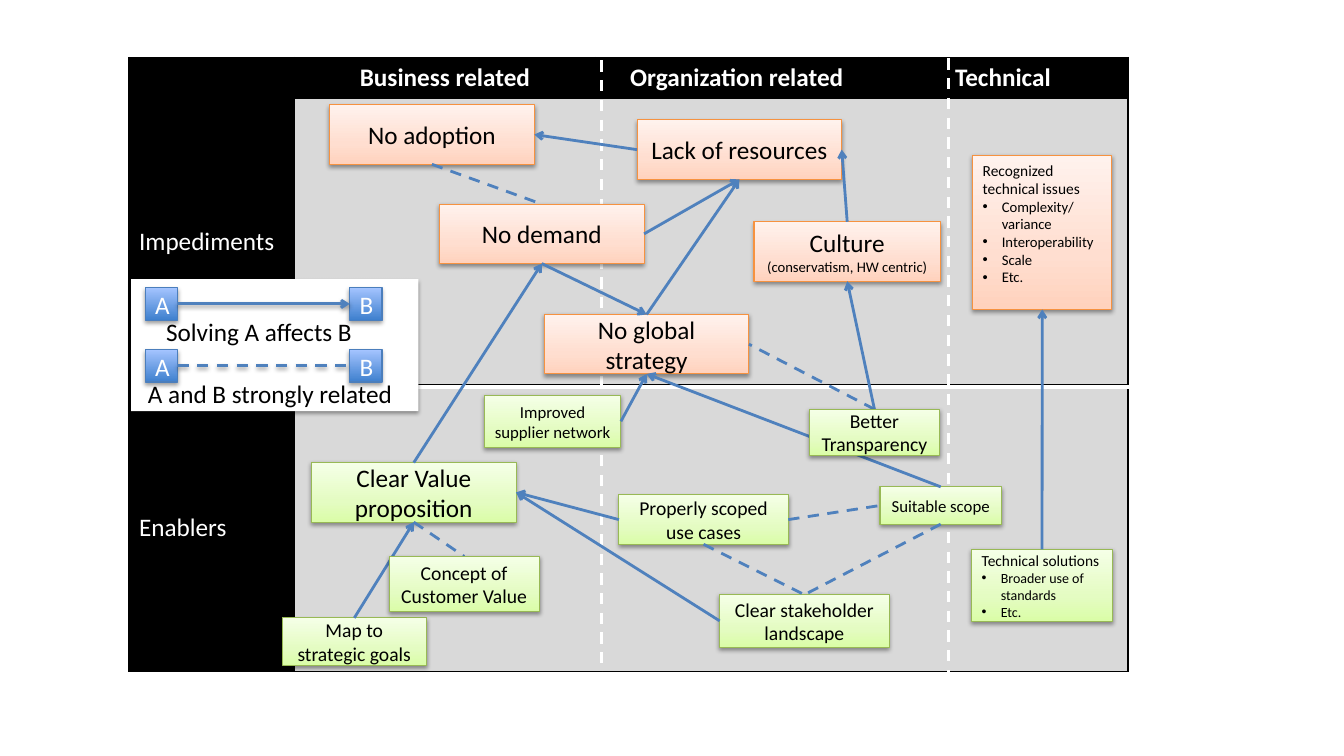
"""Build a map of impediments and enablers with their relations."""
from copy import deepcopy

from lxml.etree import SubElement
from pptx import Presentation
from pptx.dml.color import RGBColor
from pptx.enum.dml import MSO_LINE
from pptx.enum.shapes import MSO_CONNECTOR, MSO_SHAPE
from pptx.enum.text import MSO_ANCHOR, MSO_AUTO_SIZE, PP_ALIGN
from pptx.oxml import parse_xml
from pptx.oxml.ns import nsdecls, qn
from pptx.util import Inches, Pt

UNIT = Inches(0.1)
COLUMNS, ROWS = 133.33, 75
BLACK, WHITE = RGBColor(0, 0, 0), RGBColor(255, 255, 255)
GREY, BLUE = RGBColor(0xD9, 0xD9, 0xD9), RGBColor(0x4F, 0x81, 0xBD)
ORANGE_EDGE = RGBColor(0xF6, 0x92, 0x40)
GREEN_EDGE = RGBColor(0x98, 0xB9, 0x55)
BLUE_EDGE = RGBColor(0x4B, 0x7E, 0xBC)
ORANGES = [(0, RGBColor(0xFF, 0xD2, 0xBD)), (0.35, RGBColor(0xFF, 0xDE, 0xD0)),
           (1, RGBColor(0xFF, 0xF2, 0xED))]
GREENS = [(0, RGBColor(0xDA, 0xFD, 0xA7)), (0.35, RGBColor(0xE4, 0xFC, 0xC2)),
          (1, RGBColor(0xF5, 0xFF, 0xE7))]
BLUES = [(0, RGBColor(0x3F, 0x80, 0xCE)), (1, RGBColor(0xA4, 0xC4, 0xFF))]
SHADOW = parse_xml(
    f'<a:outerShdw {nsdecls("a")} blurRad="40000" dist="20000" dir="5400000" rotWithShape="0">'
    '<a:srgbClr val="000000"><a:alpha val="38000"/></a:srgbClr></a:outerShdw>')
TOP, LEFT, BOTTOM, RIGHT = range(4)


def write(frame, lines, align, color=BLACK, bold=False):
    """Fill a text frame with (text, size, bulleted) lines."""
    for number, (text, size, bulleted) in enumerate(lines):
        paragraph = frame.paragraphs[0] if number == 0 else frame.add_paragraph()
        paragraph.alignment = align
        run = paragraph.add_run()
        run.text = text
        run.font.color.rgb = color
        for attribute, value in {"name": "Calibri", "size": Pt(size), "bold": bold}.items():
            setattr(run.font, attribute, value)
        if bulleted:
            properties = paragraph._p.get_or_add_pPr()
            properties.set("marL", str(Inches(0.19)))
            properties.set("indent", str(-Inches(0.19)))
            SubElement(properties, qn("a:buFont"), typeface="Arial")
            SubElement(properties, qn("a:buChar"), char="•")


def draw_line(start, end, color, width, dashed, arrow=False, shaded=False):
    """Add a straight line between two grid points."""
    line = slide.shapes.add_connector(
        MSO_CONNECTOR.STRAIGHT, *(round(value * UNIT) for value in (*start, *end)))
    line.line.color.rgb = color
    line.line.width = Pt(width)
    if dashed:
        line.line.dash_style = MSO_LINE.DASH
    if arrow:
        SubElement(line.line._get_or_add_ln(), qn("a:tailEnd"), type="arrow")
    effects = SubElement(line._element.spPr, qn("a:effectLst"))
    if shaded:
        effects.append(deepcopy(SHADOW))
    return line


deck = Presentation()
deck.slide_width, deck.slide_height = round(COLUMNS * UNIT), ROWS * UNIT
slide = deck.slides.add_slide(deck.slide_layouts[6])

matrix_frame = slide.shapes.add_table(
    3, 4, *(round(value * UNIT) for value in (12.8, 5.7, 99.1, 60.9)))
matrix = matrix_frame.table
for flag in ("first_row", "horz_banding"):
    setattr(matrix, flag, False)
matrix._tbl.tblPr.find(qn("a:tableStyleId")).text = "{2D5ABB26-0587-4C30-8999-92F81FD0307C}"
for column, width in zip(matrix.columns, (16.4, 29.9, 28, 24.8)):
    column.width = round(width * UNIT)
for row, height in zip(matrix.rows, (4.1, 28.4, 28.4)):
    row.height = round(height * UNIT)
headings = {(0, 1): "Business related", (0, 2): "Organization related", (0, 3): "Technical",
            (1, 0): "Impediments", (2, 0): "Enablers"}
for row in range(3):
    for column in range(4):
        cell = matrix.cell(row, column)
        cell.fill.solid()
        cell.fill.fore_color.rgb = GREY if row and column else BLACK
        for place, side in enumerate(("lnL", "lnR", "lnT", "lnB")):
            cell._tc.tcPr.insert(place, parse_xml(
                f'<a:{side} {nsdecls("a")} w="12700"><a:solidFill><a:srgbClr val="000000"/>'
                f'</a:solidFill></a:{side}>'))
        if (row, column) in headings:
            cell.vertical_anchor = MSO_ANCHOR.MIDDLE if row else MSO_ANCHOR.TOP
            write(cell.text_frame, [(headings[row, column], 18, False)],
                  PP_ALIGN.LEFT if row else PP_ALIGN.CENTER, WHITE, bold=row == 0)
    if row:
        matrix.cell(row, 1).merge(matrix.cell(row, 3))

for start, end, width, dashed in [((59.7, 6), (59.7, 66.8), 2, True),
                                  ((94.1, 5.8), (94.1, 66.7), 2, True),
                                  ((13.4, 38.4), (112.5, 38.4), 3, False)]:
    draw_line(start, end, WHITE, width, dashed)

IMPEDIMENT, ENABLER = (ORANGES, ORANGE_EDGE, BLACK), (GREENS, GREEN_EDGE, BLACK)
LEGEND, PANEL = (BLUES, BLUE_EDGE, WHITE), ([(0, WHITE)], None, BLACK)
topics = [
    ("value", ENABLER, (30.9, 45.9, 20.3, 5.9), [("Clear Value proposition", 18, False)]),
    ("landscape", ENABLER, (71.4, 59, 16.8, 5.2), [("Clear stakeholder landscape", 14, False)]),
    ("use cases", ENABLER, (61.4, 49.1, 16.8, 4.9), [("Properly scoped use cases", 14, False)]),
    ("goals", ENABLER, (28, 61.3, 14.3, 4.7), [("Map to strategic goals", 14, False)]),
    ("adoption", IMPEDIMENT, (32.7, 10.4, 20.3, 5.9), [("No adoption", 18, False)]),
    ("strategy", IMPEDIMENT, (54, 31.2, 20.3, 5.9), [("No global strategy", 18, False)]),
    ("resources", IMPEDIMENT, (63.2, 11.9, 20.3, 5.9), [("Lack of resources", 18, False)]),
    ("culture", IMPEDIMENT, (74.8, 22, 18.5, 5.9),
     [("Culture", 18, False), ("(conservatism, HW centric)", 10.5, False)]),
    ("concept", ENABLER, (38.6, 55.2, 14.9, 5.5), [("Concept of Customer Value", 14, False)]),
    ("scope", ENABLER, (87.3, 48.3, 12.05, 3.7), [("Suitable scope", 12, False)]),
    ("issues", IMPEDIMENT, (96.5, 15.4, 13.8, 15.3),
     [("Recognized technical issues", 11, False), ("Complexity/variance", 10.5, True),
      ("Interoperability", 10.5, True), ("Scale", 10.5, True), ("Etc.", 10.5, True)]),
    ("solutions", ENABLER, (96.4, 54.5, 13.95, 7.15),
     [("Technical solutions", 11, False), ("Broader use of standards", 10, True),
      ("Etc.", 10, True)]),
    ("transparency", ENABLER, (80.3, 40.6, 12.9, 4.6), [("Better Transparency", 14, False)]),
    ("network", ENABLER, (48.05, 39.2, 13.55, 5.2), [("Improved supplier network", 12, False)]),
    ("demand", IMPEDIMENT, (43.6, 20.25, 20.3, 5.9), [("No demand", 18, False)]),
    ("legend", PANEL, (13, 27.7, 28.5, 13.1), []),
]
for step in range(2):
    for letter, left in (("A", 14.4), ("B", 34.7)):
        topics.append((f"{letter}{step}", LEGEND, (left, 28.55 + 6.15 * step, 3.2, 3.2),
                       [(letter, 18, False)]))

boxes = {}
for key, (stops, edge, ink), place, lines in topics:
    box = slide.shapes.add_shape(MSO_SHAPE.RECTANGLE, *(round(value * UNIT) for value in place))
    boxes[key] = box
    if edge is None:
        box.fill.solid()
        box.fill.fore_color.rgb = stops[0][1]
        box.line.fill.background()
    else:
        box.fill.gradient()
        box.fill.gradient_angle = 90
        stop_list = box._element.spPr.find(".//" + qn("a:gsLst"))
        for _ in stops[2:]:
            stop_list.insert(1, deepcopy(stop_list[0]))
        for stop, (position, color) in zip(box.fill.gradient_stops, stops):
            stop.position = position
            stop.color.rgb = color
        box.line.color.rgb = edge
        box.line.width = Pt(0.75)
    box.shadow.inherit = False
    box._element.spPr.find(qn("a:effectLst")).append(deepcopy(SHADOW))
    box.text_frame.vertical_anchor = MSO_ANCHOR.MIDDLE
    write(box.text_frame, lines, PP_ALIGN.LEFT if len(lines) > 2 else PP_ALIGN.CENTER, ink)
boxes["issues"].text_frame.margin_bottom = Inches(0.23)

AFFECTS, RELATED = False, True
links = [
    ("landscape", LEFT, "value", RIGHT, AFFECTS),
    ("use cases", LEFT, "value", RIGHT, AFFECTS),
    ("goals", TOP, "value", BOTTOM, AFFECTS),
    ("adoption", BOTTOM, "demand", TOP, RELATED),
    ("resources", LEFT, "adoption", RIGHT, AFFECTS),
    ("culture", TOP, "resources", RIGHT, AFFECTS),
    ("use cases", BOTTOM, "landscape", TOP, RELATED),
    ("value", BOTTOM, "concept", TOP, RELATED),
    ("use cases", RIGHT, "scope", LEFT, RELATED),
    ("scope", BOTTOM, "landscape", TOP, RELATED),
    ("scope", TOP, "strategy", BOTTOM, AFFECTS),
    ("solutions", TOP, "issues", BOTTOM, AFFECTS),
    ("transparency", TOP, "strategy", RIGHT, RELATED),
    ("transparency", TOP, "culture", BOTTOM, AFFECTS),
    ("network", RIGHT, "strategy", BOTTOM, AFFECTS),
    ("value", TOP, "demand", BOTTOM, AFFECTS),
    ("demand", BOTTOM, "strategy", TOP, AFFECTS),
    ("strategy", TOP, "resources", BOTTOM, AFFECTS),
    ("demand", RIGHT, "resources", BOTTOM, AFFECTS),
    ("A0", RIGHT, "B0", LEFT, AFFECTS),
    ("A1", RIGHT, "B1", LEFT, RELATED),
]
for source, source_side, target, target_side, related in links:
    link = draw_line((0, 0), (0, 0), BLUE, 2, related, not related, source in ("A0", "A1"))
    link.begin_connect(boxes[source], source_side)
    link.end_connect(boxes[target], target_side)
for key in ("concept", "transparency"):
    slide.shapes._spTree.append(boxes[key]._element)

for caption, place in [("Solving A affects B", (15.5, 30.9, 20.7, 4)),
                       ("A and B strongly related", (13.7, 37, 26.6, 4))]:
    note = slide.shapes.add_textbox(*(round(value * UNIT) for value in place))
    for attribute, value in {"word_wrap": False,
                             "auto_size": MSO_AUTO_SIZE.SHAPE_TO_FIT_TEXT}.items():
        setattr(note.text_frame, attribute, value)
    write(note.text_frame, [(caption, 18, False)], PP_ALIGN.LEFT)

deck.save("out.pptx")
